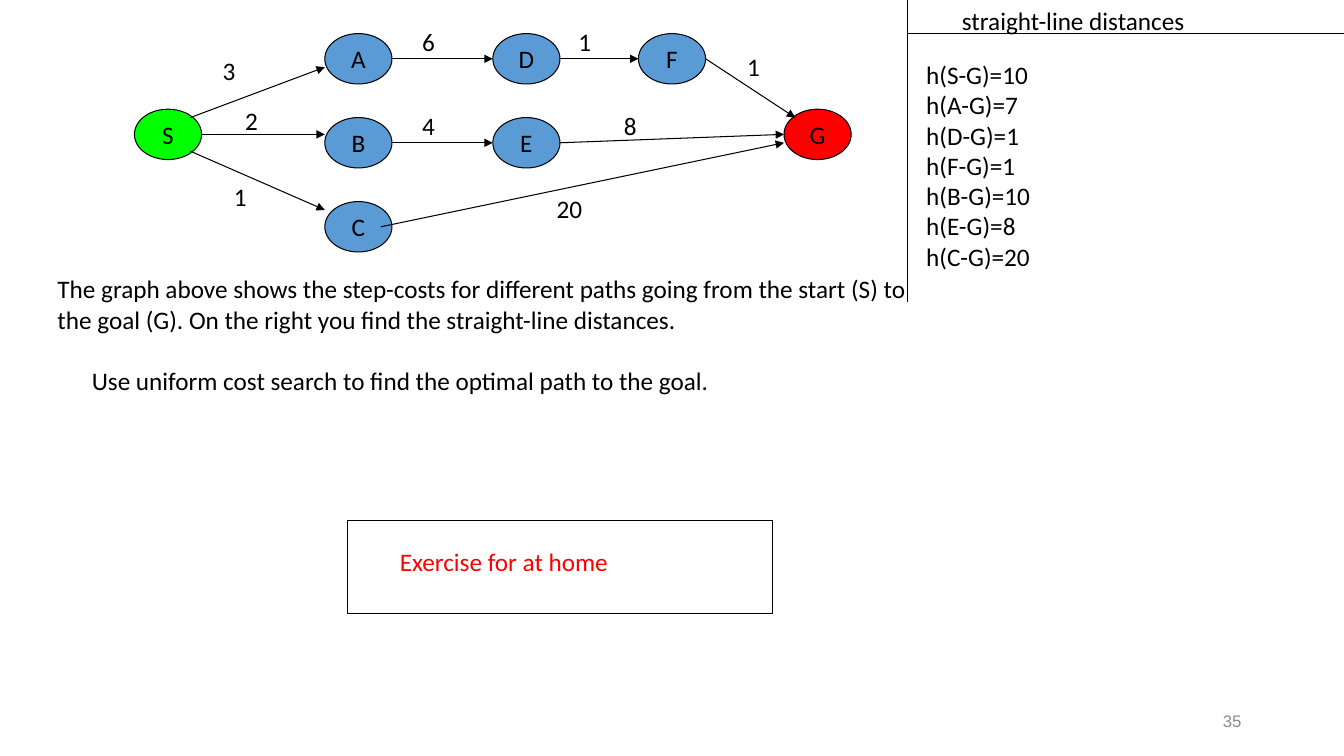
from dataclasses import dataclass

from lxml import etree
from pptx import Presentation
from pptx.dml.color import RGBColor
from pptx.enum.shapes import MSO_CONNECTOR, MSO_SHAPE
from pptx.enum.text import MSO_ANCHOR, PP_ALIGN
from pptx.oxml.ns import qn
from pptx.slide import Slide
from pptx.util import Pt

STRAIGHT = MSO_CONNECTOR.STRAIGHT
OVAL, RECTANGLE = MSO_SHAPE.OVAL, MSO_SHAPE.RECTANGLE
TOP, MIDDLE = MSO_ANCHOR.TOP, MSO_ANCHOR.MIDDLE
LEFT, CENTER, RIGHT = PP_ALIGN.LEFT, PP_ALIGN.CENTER, PP_ALIGN.RIGHT

COLORS = {
    "black": "000000",
    "start": "00FF00",
    "node": "5B9BD5",
    "goal": "FF0000",
    "number": "8C8C8C",
}
NODE_W, NODE_H = 48, 36
LINE_W = 0.75


@dataclass
class Node:
    name: str
    x: float
    y: float
    color: str = "node"


@dataclass
class Line:
    x1: float
    y1: float
    x2: float
    y2: float
    arrow: bool = True


@dataclass
class Label:
    lines: list[str]
    x: float
    y: float
    w: float = 24
    h: float = 29
    color: str = "black"
    font: str = "Calibri"
    size: float = 18
    align: PP_ALIGN = LEFT
    anchor: MSO_ANCHOR = TOP


NODES = [
    Node("S", 96, 78, "start"),
    Node("A", 232, 24),
    Node("B", 232, 84),
    Node("C", 232, 144),
    Node("D", 352, 24),
    Node("E", 352, 84),
    Node("F", 456, 24),
    Node("G", 560, 78, "goal"),
]
LINES = [
    Line(136, 84, 232, 48),
    Line(144, 96, 232, 96),
    Line(136, 108, 232, 150),
    Line(280, 42, 352, 42),
    Line(280, 102, 352, 102),
    Line(272, 162, 560, 102),
    Line(400, 102, 560, 96),
    Line(400, 42, 456, 42),
    Line(504, 42, 568, 84),
    Line(648, 0, 648, 216, arrow=False),
    Line(648, 24, 960, 24, arrow=False),
]
DISTANCES = {"S": 10, "A": 7, "D": 1, "F": 1, "B": 10, "E": 8, "C": 20}
LABELS = [
    Label(["3"], 152, 36),
    Label(["2"], 168, 72),
    Label(["1"], 160, 126),
    Label(["6"], 294.5, 15),
    Label(["4"], 294.5, 75),
    Label(["1"], 406, 15),
    Label(["8"], 438.5, 75),
    Label(["1"], 526.5, 33),
    Label(["20"], 390.5, 134.5, w=33),
    Label(["straight-line distances"], 680, 0, w=175.5),
    Label([f"h({name}-G)={value}" for name, value in DISTANCES.items()],
          654.5, 39, w=90, h=160),
    Label(["Exercise for at home"], 278.5, 386.5, w=165, color="goal"),
    Label(["35"], 678, 500.5, w=216, color="number", font="Arial", size=12,
          align=RIGHT, anchor=MIDDLE),
]
TASK = Label([
    "The graph above shows the step-costs for different paths going from the start (S) to",
    "the goal (G). On the right you find the straight-line distances.",
    "Use uniform cost search to find the optimal path to the goal.",
], 34, 192, w=632, h=138)


def rgb(name: str) -> RGBColor:
    return RGBColor.from_string(COLORS[name])


def style_paragraph(p, label: Label) -> None:
    p.alignment = label.align
    p.font.name = label.font
    p.font.size = Pt(label.size)
    p.font.color.rgb = rgb(label.color)


def add_label(s: Slide, label: Label, wrap: bool = False):
    tf = s.shapes.add_textbox(Pt(label.x), Pt(label.y), Pt(label.w), Pt(label.h)).text_frame
    tf.word_wrap = wrap
    tf.vertical_anchor = label.anchor
    tf.text = "\n".join(label.lines)
    for p in tf.paragraphs:
        style_paragraph(p, label)
    return tf


def add_outlined(s: Slide, kind: MSO_SHAPE, x: float, y: float, w: float, h: float):
    sp = s.shapes.add_shape(kind, Pt(x), Pt(y), Pt(w), Pt(h))
    sp.shadow.inherit = False
    sp.line.color.rgb = rgb("black")
    sp.line.width = Pt(LINE_W)
    return sp


def add_node(s: Slide, node: Node) -> None:
    sp = add_outlined(s, OVAL, node.x, node.y, NODE_W, NODE_H)
    sp.fill.solid()
    sp.fill.fore_color.rgb = rgb(node.color)
    tf = sp.text_frame
    tf.word_wrap = False
    tf.vertical_anchor = MIDDLE
    tf.text = node.name
    style_paragraph(tf.paragraphs[0], Label([node.name], node.x, node.y, align=CENTER))


def add_line(s: Slide, line: Line) -> None:
    c = s.shapes.add_connector(STRAIGHT, Pt(line.x1), Pt(line.y1), Pt(line.x2), Pt(line.y2))
    c.line.color.rgb = rgb("black")
    c.line.width = Pt(LINE_W)
    if line.arrow:
        etree.SubElement(c.line._get_or_add_ln(), qn("a:tailEnd"), type="triangle")
    etree.SubElement(c._element.spPr, qn("a:effectLst"))


def main() -> None:
    prs = Presentation()
    prs.slide_width, prs.slide_height = Pt(960), Pt(540)
    s = prs.slides.add_slide(prs.slide_layouts[6])
    for node in NODES:
        add_node(s, node)
    for line in LINES:
        add_line(s, line)
    for label in LABELS:
        add_label(s, label)

    question = add_label(s, TASK, wrap=True).paragraphs[-1]
    question.space_before = Pt(22)
    question._p.get_or_add_pPr().set("marL", str(Pt(24.5)))

    add_outlined(s, RECTANGLE, 248, 372, 304, 66).fill.background()
    prs.save("out.pptx")


if __name__ == "__main__":
    main()
